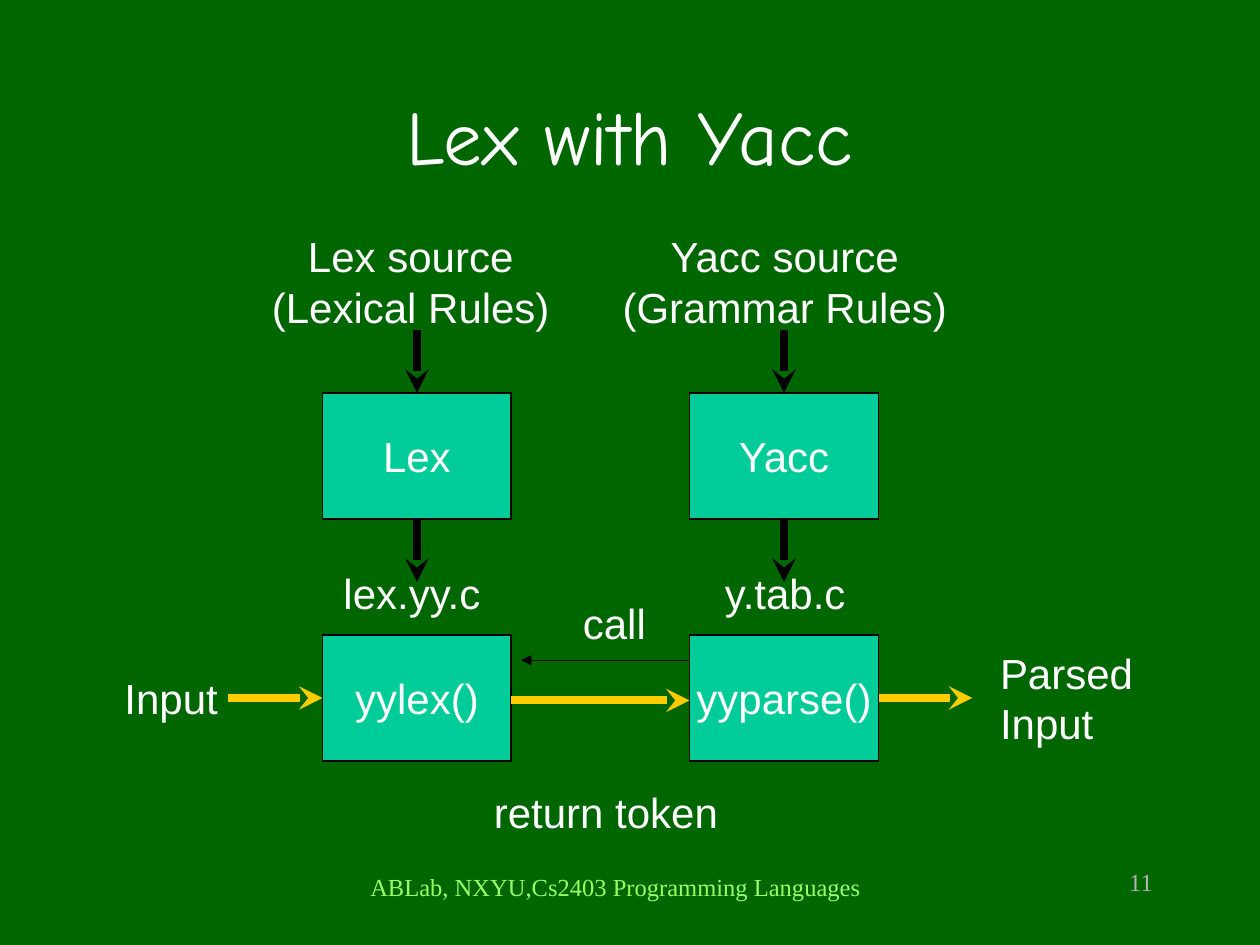
from lxml import etree
from pptx import Presentation
from pptx.dml.color import RGBColor
from pptx.enum.shapes import MSO_CONNECTOR, MSO_SHAPE
from pptx.enum.text import MSO_ANCHOR, PP_ALIGN
from pptx.oxml.ns import qn
from pptx.util import Cm, Pt

RECTANGLE = MSO_SHAPE.RECTANGLE
STRAIGHT = MSO_CONNECTOR.STRAIGHT
LEFT, CENTER, RIGHT = PP_ALIGN.LEFT, PP_ALIGN.CENTER, PP_ALIGN.RIGHT
TOP, MIDDLE = MSO_ANCHOR.TOP, MSO_ANCHOR.MIDDLE

GREEN = RGBColor(0x00, 0x66, 0x00)
TEAL = RGBColor(0x00, 0xCC, 0x99)
GOLD = RGBColor(0xFF, 0xCC, 0x00)
LIME = RGBColor(0x99, 0xFF, 0x66)
GRAY = RGBColor(0xB2, 0xB2, 0xB2)
BLACK = RGBColor(0x00, 0x00, 0x00)
WHITE = RGBColor(0xFF, 0xFF, 0xFF)

# Diagram grid, in centimetres
BOX_W, BOX_H = 3.81, 2.54
LEX_X, YACC_X = 6.5, 13.9
TOOL_Y, PARSER_Y = 7.92, 12.8
DROP = 1.27
FLOW_Y = PARSER_Y + BOX_H / 2


def write_text(shape, text, font="Arial", size=24, color=WHITE,
               align=CENTER, anchor=TOP, wrap=False):
    frame = shape.text_frame
    frame.word_wrap = wrap
    frame.vertical_anchor = anchor
    frame.text = text
    for paragraph in frame.paragraphs:
        paragraph.alignment = align
        paragraph.font.name = font
        paragraph.font.size = Pt(size)
        paragraph.font.color.rgb = color


class Diagram:
    def __init__(self, slide):
        self.slide = slide
        slide.background.fill.solid()
        slide.background.fill.fore_color.rgb = GREEN

    def label(self, text, x, y, width, height=1.27, **style):
        label = self.slide.shapes.add_textbox(Cm(x), Cm(y), Cm(width), Cm(height))
        write_text(label, text, **style)

    def box(self, text, x, y):
        box = self.slide.shapes.add_shape(
            RECTANGLE, Cm(x), Cm(y), Cm(BOX_W), Cm(BOX_H))
        box.shadow.inherit = False
        box.fill.solid()
        box.fill.fore_color.rgb = TEAL
        box.line.color.rgb = BLACK
        box.line.width = Pt(1)
        write_text(box, text, anchor=MIDDLE)

    def arrow(self, x1, y1, x2, y2, color=BLACK, width=4.5, head="stealth"):
        arrow = self.slide.shapes.add_connector(
            STRAIGHT, Cm(x1), Cm(y1), Cm(x2), Cm(y2))
        arrow.line.color.rgb = color
        arrow.line.width = Pt(width)
        line = arrow.line._get_or_add_ln()
        etree.SubElement(line, qn("a:tailEnd"), type=head)
        etree.SubElement(arrow._element.spPr, qn("a:effectLst"))


def main():
    presentation = Presentation()
    presentation.slide_width, presentation.slide_height = Cm(25.4), Cm(19.05)
    slide = presentation.slides.add_slide(presentation.slide_layouts[6])
    diagram = Diagram(slide)

    # Title and footer
    diagram.label("Lex with Yacc", 1.9, 1.12, 21.59, 3.18,
                  font="Comic Neue", size=44, anchor=MIDDLE, wrap=True)
    footer = {"font": "Times New Roman", "size": 14, "wrap": True}
    diagram.label("ABLab, NXYU,Cs2403 Programming Languages",
                  6.3, 17.45, 12.22, color=LIME, **footer)
    diagram.label("11", 18.21, 17.35, 5.28, color=GRAY, align=RIGHT, **footer)

    # One column per tool: generator above, generated function below
    for x, tool, function in ((LEX_X, "Lex", "yylex()"),
                              (YACC_X, "Yacc", "yyparse()")):
        diagram.box(tool, x, TOOL_Y)
        diagram.box(function, x, PARSER_Y)
        middle = x + BOX_W / 2
        for start in (TOOL_Y - DROP, TOOL_Y + BOX_H):
            diagram.arrow(middle, start, middle, start + DROP)

    # Sources and generated files
    diagram.label("Lex source\n(Lexical Rules)", 4.9, 4.53, 6.76, 2.29)
    diagram.label("Yacc source\n(Grammar Rules)", 12.3, 4.53, 7.04, 2.29)
    diagram.label("lex.yy.c", 6.5, 11.32, 3.61)
    diagram.label("y.tab.c", 13.9, 11.32, 3.86)

    # Data flow from input to parsed input
    for start, end, y in ((4.6, LEX_X, FLOW_Y),
                          (LEX_X + BOX_W, YACC_X, FLOW_Y + 0.05),
                          (YACC_X + BOX_W, 19.6, FLOW_Y)):
        diagram.arrow(start, y, end, y, color=GOLD)
    diagram.label("Input", 2.26, 13.43, 2.4, align=LEFT)
    diagram.label("Parsed\nInput", 19.91, 12.93, 3.5, 2.29,
                  align=LEFT, wrap=True)

    # Call and returned token
    diagram.arrow(YACC_X, 13.31, 10.5, 13.31, width=0.75, head="triangle")
    diagram.label("call", 11.5, 11.93, 1.78, align=LEFT)
    diagram.label("return token", 9.7, 15.74, 5.03)

    presentation.save("out.pptx")


if __name__ == "__main__":
    main()
